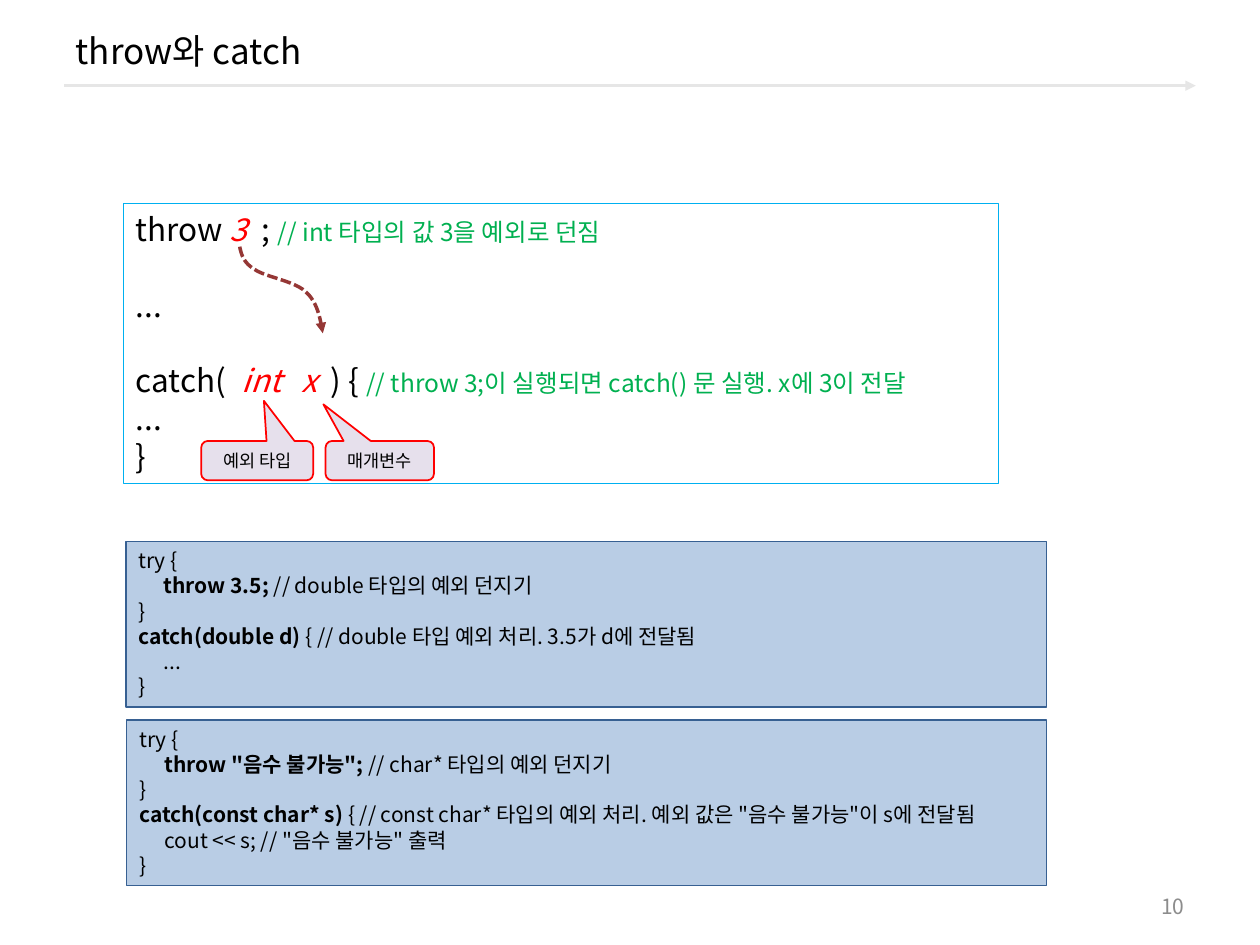
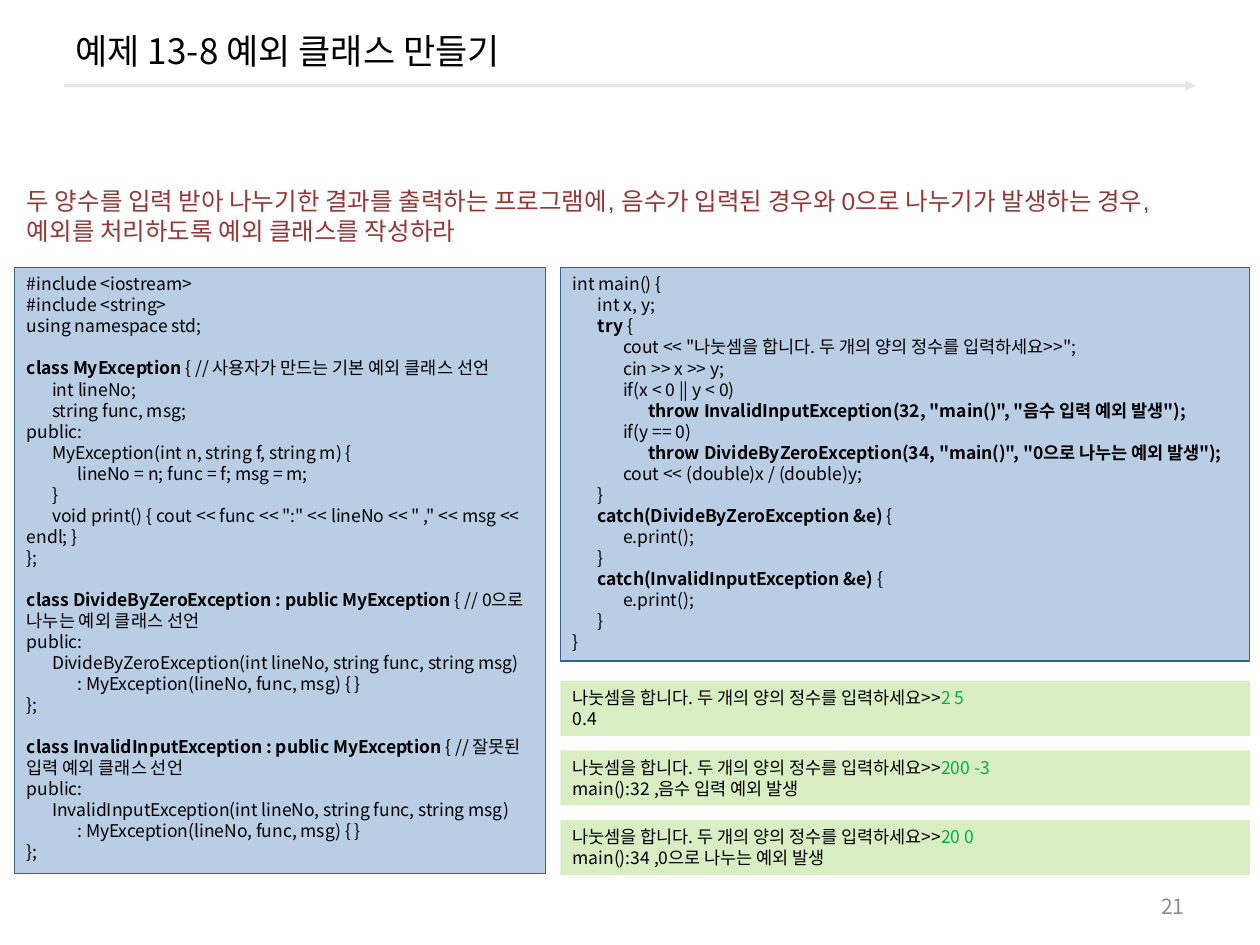
from pptx import Presentation
from pptx.dml.color import RGBColor
from pptx.enum.dml import MSO_LINE
from pptx.enum.shapes import MSO_CONNECTOR, MSO_SHAPE
from pptx.enum.text import MSO_ANCHOR, MSO_AUTO_SIZE, PP_ALIGN
from pptx.oxml.ns import qn
from pptx.util import Pt
from lxml import etree

RECT = MSO_SHAPE.RECTANGLE
CALLOUT = MSO_SHAPE.ROUNDED_RECTANGULAR_CALLOUT
STRAIGHT = MSO_CONNECTOR.STRAIGHT
DASH = MSO_LINE.SQUARE_DOT
TOP, MIDDLE = MSO_ANCHOR.TOP, MSO_ANCHOR.MIDDLE
LEFT, CENTER, RIGHT = PP_ALIGN.LEFT, PP_ALIGN.CENTER, PP_ALIGN.RIGHT

# Shared look
FONT = "Noto Sans CJK KR"
BLACK, GRAY, RULE = "000000", "8C8C8C", "E6E6E6"
RED, GREEN, BROWN = "FF0000", "00B050", "953735"
SKY, NAVY, BLUE = "00B0F0", "376092", "B9CDE5"
LIME, LILAC = "DAEEC4", "E6E0EC"
INDENT = 14.4
VALUE = {"color": RED, "italic": True}
NOTE = {"color": GREEN, "size": 14}
INPUT = {"color": GREEN}

# Slide 1 text
FLOW = [
    ["throw ", ("3", VALUE), "\t; ", ("// int 타입의 값 3을 예외로 던짐", NOTE)],
    "",
    "...",
    "",
    ["catch(\t", ("int\tx", VALUE), "\t) { ",
     ("// throw 3;이 실행되면 catch() 문 실행. x에 3이 전달", NOTE)],
    "...",
    "}",
]
FLOW_STOPS = {0: [72], 4: [60.5, 94.5, 111.5]}

DOUBLE = """try {
\t**throw 3.5; **// double 타입의 예외 던지기
}
**catch(double d) **{ // double 타입 예외 처리. 3.5가 d에 전달됨
\t...
}"""

STRING = """try {
\t**throw "음수 불가능"; **// char* 타입의 예외 던지기
}
**catch(const char* s) **{ // const char* 타입의 예외 처리. 예외 값은 "음수 불가능"이 s에 전달됨
\tcout << s; // "음수 불가능" 출력
}"""

# Slide 2 text
TASK = ("두 양수를 입력 받아 나누기한 결과를 출력하는 프로그램에, 음수가 입력된 경우와 "
        "0으로 나누기가 발생하는 경우, 예외를 처리하도록 예외 클래스를 작성하라")

CLASSES = """#include <iostream>
#include <string>
using namespace std;

**class MyException **{ // 사용자가 만드는 기본 예외 클래스 선언
\tint lineNo;
\tstring func, msg;
public:
\tMyException(int n, string f, string m) {
\t\tlineNo = n; func = f; msg = m;
\t}
\tvoid print() { cout << func << ":" << lineNo << " ," << msg << endl; }
};

**class DivideByZeroException : public MyException **{ // 0으로 나누는 예외 클래스 선언
public:
\tDivideByZeroException(int lineNo, string func, string msg)
\t\t: MyException(lineNo, func, msg) { }
};

**class InvalidInputException : public MyException **{ // 잘못된 입력 예외 클래스 선언
public:
\tInvalidInputException(int lineNo, string func, string msg)
\t\t: MyException(lineNo, func, msg) { }
};"""

MAIN = """int main() {
\tint x, y;
\t**try** {
\t\tcout << "나눗셈을 합니다. 두 개의 양의 정수를 입력하세요>>";
\t\tcin >> x >> y;
\t\tif(x < 0 || y < 0)
\t\t\t**throw InvalidInputException(32, "main()", "음수 입력 예외 발생");**
\t\tif(y == 0)
\t\t\t**throw DivideByZeroException(34, "main()", "0으로 나누는 예외 발생");**
\t\tcout << (double)x / (double)y;
\t}
\t**catch(DivideByZeroException &e)** {
\t\te.print();
\t}
\t**catch(InvalidInputException &e)** {
\t\te.print();
\t}
}"""

PROMPT = "나눗셈을 합니다. 두 개의 양의 정수를 입력하세요>>"
TESTS = [
    ("2 5", "0.4"),
    ("200 -3", "main():32 ,음수 입력 예외 발생"),
    ("20 0", "main():34 ,0으로 나누는 예외 발생"),
]


def rgb(code):
    return RGBColor.from_string(code)


def set_font(font, size=None, color=None, name=None, bold=None, italic=None):
    if size:
        font.size = Pt(size)
    if color:
        font.color.rgb = rgb(color)
    if name:
        font.name = name
    if bold is not None:
        font.bold = bold
    if italic is not None:
        font.italic = italic


def split_bold(text):
    """Turn text with **bold** marks into runs."""
    parts = text.split("**")
    return [(part, {"bold": True} if i % 2 else {})
            for i, part in enumerate(parts) if part]


def set_tabs(para, stops):
    tabs = etree.Element(qn("a:tabLst"))
    for stop in stops:
        etree.SubElement(tabs, qn("a:tab"), pos=str(Pt(stop)), algn="l")
    para._p.get_or_add_pPr().insert_element_before(tabs, "a:defRPr", "a:extLst")


def write(frame, lines, size, color=BLACK, name=FONT, align=LEFT, anchor=TOP,
          stops=None):
    """Fill a frame; leading tabs indent a line, an empty line adds a gap."""
    frame.word_wrap = True
    frame.auto_size = MSO_AUTO_SIZE.NONE
    frame.vertical_anchor = anchor
    para, gap = None, 0
    for row, line in enumerate(lines):
        if not line:
            gap += size * 1.2
            continue
        para = frame.add_paragraph() if para else frame.paragraphs[0]
        para.alignment = align
        set_font(para.font, size, color, name)
        if gap:
            para.space_before, gap = Pt(gap), 0
        if isinstance(line, str):
            text = line.lstrip("\t")
            depth = len(line) - len(text)
            if depth:
                para._p.get_or_add_pPr().set("indent", str(Pt(depth * INDENT)))
            line = split_bold(text)
        if stops and row in stops:
            set_tabs(para, stops[row])
        for part in line:
            text, style = (part, {}) if isinstance(part, str) else part
            run = para.add_run()
            run.text = text
            set_font(run.font, **style)


def add_box(slide, area, fill=None, line=None, width=0.75, kind=RECT):
    box = slide.shapes.add_shape(kind, *map(Pt, area))
    box.shadow.inherit = False
    if fill:
        box.fill.solid()
        box.fill.fore_color.rgb = rgb(fill)
    else:
        box.fill.background()
    if line:
        box.line.color.rgb = rgb(line)
        box.line.width = Pt(width)
    else:
        box.line.fill.background()
    return box


def add_code(slide, area, code, size):
    box = add_box(slide, area, BLUE, NAVY)
    write(box.text_frame, code.split("\n"), size)


def add_label(slide, area, text, tip):
    box = add_box(slide, area, LILAC, RED, 1, CALLOUT)
    for i, value in enumerate((*tip, 0.17)):
        box.adjustments[i] = value
    write(box.text_frame, [text], 10, align=CENTER, anchor=MIDDLE)


def add_text(slide, area, text, size, **style):
    box = slide.shapes.add_textbox(*map(Pt, area))
    write(box.text_frame, [text], size, **style)


def style_arrow(shape, color, width):
    shape.line.color.rgb = rgb(color)
    shape.line.width = Pt(width)
    etree.SubElement(shape.line._get_or_add_ln(), qn("a:tailEnd"), type="triangle")


def bend(a, b, c, d, steps=12):
    """Points along a cubic curve, after its start."""
    for i in range(1, steps + 1):
        t = i / steps
        u = 1 - t
        yield tuple(Pt(u**3 * p + 3 * u * u * t * q + 3 * u * t * t * r + t**3 * s)
                    for p, q, r, s in zip(a, b, c, d))


def add_curve(slide, knots, color, width):
    points = [point for i in range(0, len(knots) - 1, 3)
              for point in bend(*knots[i:i + 4])]
    path = slide.shapes.build_freeform(*map(Pt, knots[0]))
    path.add_line_segments(points, close=False)
    curve = path.convert_to_shape()
    curve.shadow.inherit = False
    curve.fill.background()
    curve.line.dash_style = DASH
    style_arrow(curve, color, width)


def add_slide(deck, title, number):
    """Start a slide with its title, header arrow and page number."""
    slide = deck.slides.add_slide(deck.slide_layouts[5])
    rule = slide.shapes.add_connector(STRAIGHT, Pt(36.7), Pt(49), Pt(683.3), Pt(49))
    style_arrow(rule, RULE, 1.5)
    etree.SubElement(rule._element.spPr, qn("a:effectLst"))
    head = slide.shapes.title
    head.left, head.top, head.width, head.height = map(Pt, (36, 6, 648, 46))
    write(head.text_frame, [title], 20, anchor=MIDDLE)
    add_text(slide, (516, 506, 168, 23), str(number), 12, color=GRAY,
             align=RIGHT, anchor=MIDDLE)
    return slide


def build_throw(deck):
    slide = add_slide(deck, "throw와 catch", 10)
    flow = add_box(slide, (70.5, 116.5, 500, 160), line=SKY)
    write(flow.text_frame, FLOW, 18, stops=FLOW_STOPS)
    add_label(slide, (186, 252, 62, 22.5), "매개변수", (-0.52, -1.43))
    add_label(slide, (115, 252, 64, 22.5), "예외 타입", (0.06, -1.52))
    knots = [(137, 141), (138, 145.5), (139, 150), (145.5, 154), (152, 158.5),
             (168.5, 160.5), (175, 167), (181.5, 173), (183, 182), (184.5, 190.5)]
    add_curve(slide, knots, BROWN, 2)
    add_code(slide, (72, 309.5, 526, 94.5), DOUBLE, 12)
    add_code(slide, (72.5, 411.5, 525.5, 94.5), STRING, 12)


def build_class(deck):
    slide = add_slide(deck, "예제 13-8 예외 클래스 만들기", 21)
    left, width = 320.2, 394
    add_code(slide, (left, 152.7, width, 225), MAIN, 10)
    add_code(slide, (8.3, 152.7, 303.5, 346.5), CLASSES, 10)
    for i, (entry, result) in enumerate(TESTS):
        box = add_box(slide, (left, 389 + i * 39.8, width, 31.5), LIME)
        write(box.text_frame, [[PROMPT, (entry, INPUT)], result], 10)
    add_text(slide, (8.3, 103, 698, 41), TASK, 14, color=BROWN, name="Arial")


def main():
    deck = Presentation()
    deck.slide_width, deck.slide_height = Pt(720), Pt(540)
    build_throw(deck)
    build_class(deck)
    deck.save("out.pptx")


if __name__ == "__main__":
    main()
